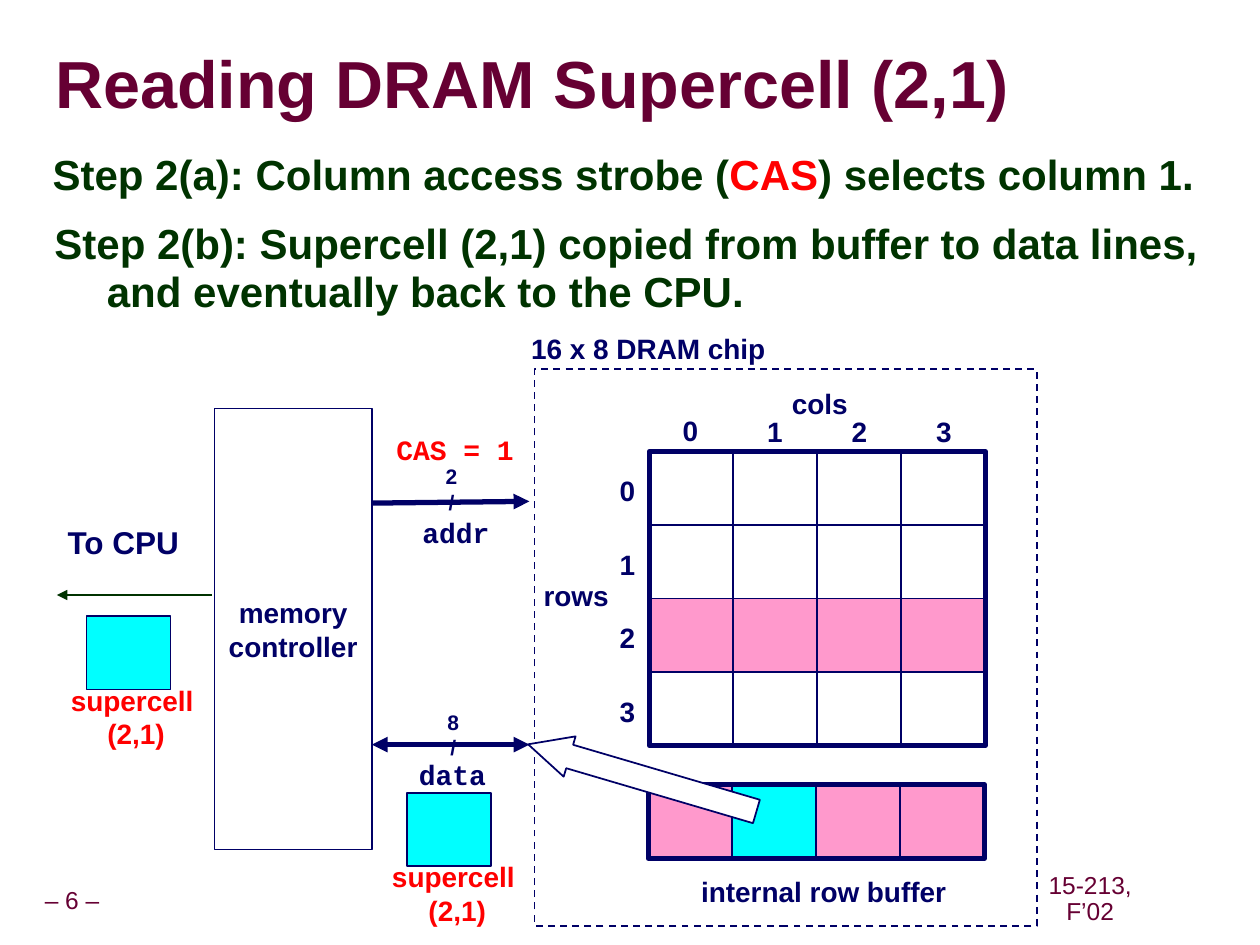
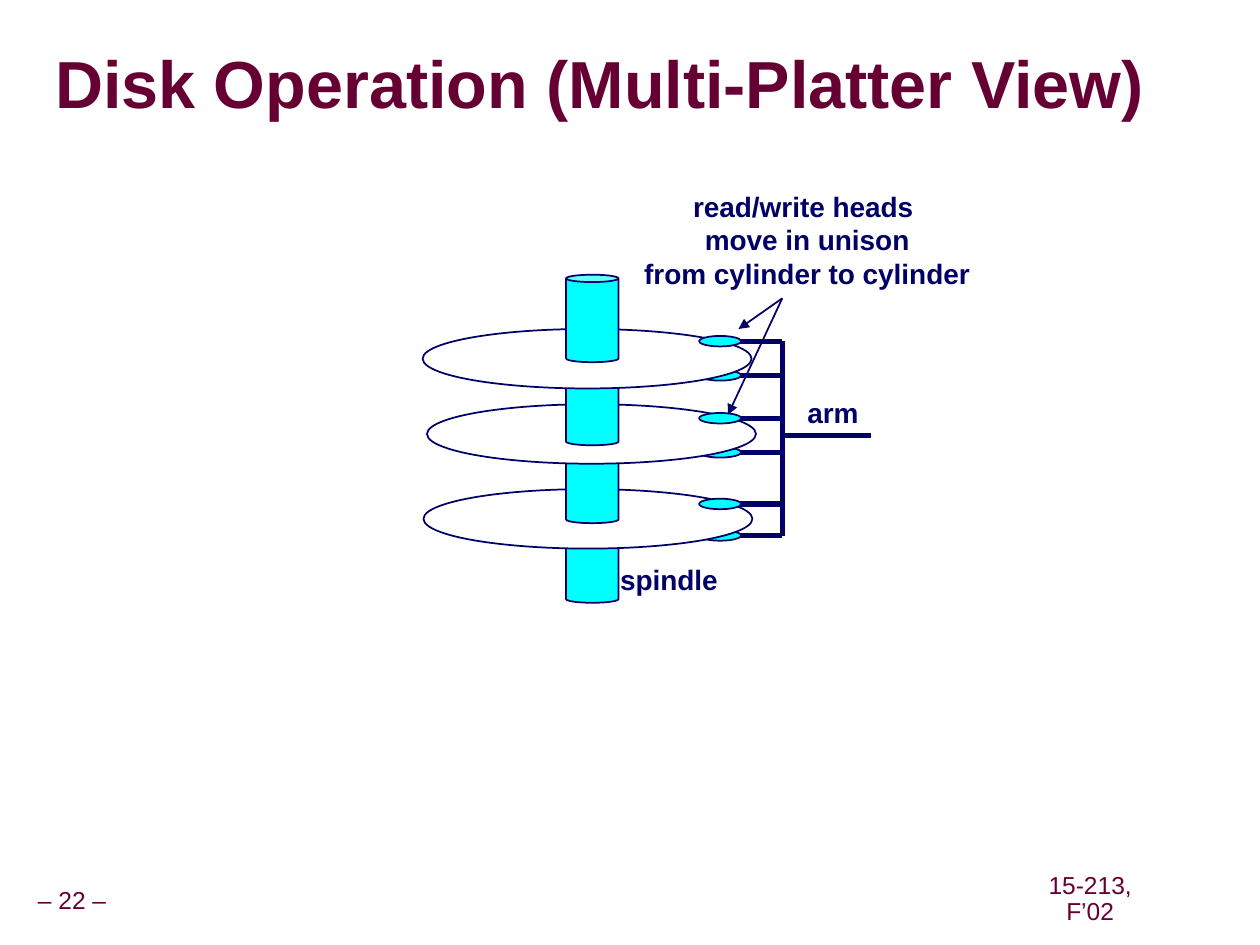
from lxml import etree
from pptx import Presentation
from pptx.dml.color import RGBColor
from pptx.enum.dml import MSO_LINE
from pptx.enum.shapes import MSO_CONNECTOR, MSO_SHAPE
from pptx.enum.text import MSO_ANCHOR, MSO_AUTO_SIZE, PP_ALIGN
from pptx.oxml import parse_xml
from pptx.oxml.ns import nsdecls, qn
from pptx.shapes.connector import Connector
from pptx.util import Pt

RECT, OVAL, CAN, ARROW = (MSO_SHAPE.RECTANGLE, MSO_SHAPE.OVAL, MSO_SHAPE.CAN,
                          MSO_SHAPE.DOWN_ARROW)
STRAIGHT = MSO_CONNECTOR.STRAIGHT
LEFT, CENTER = PP_ALIGN.LEFT, PP_ALIGN.CENTER
TOP, MIDDLE = MSO_ANCHOR.TOP, MSO_ANCHOR.MIDDLE
DASH = MSO_LINE.DASH


class Theme:
    ink = RGBColor(0x00, 0x00, 0x66)
    maroon = RGBColor(0x66, 0x00, 0x33)
    green = RGBColor(0x00, 0x33, 0x00)
    red = RGBColor(0xFF, 0x00, 0x00)
    pink = RGBColor(0xFF, 0x99, 0xCC)
    cyan = RGBColor(0x00, 0xFF, 0xFF)
    white = RGBColor(0xFF, 0xFF, 0xFF)
    sans, mono = "Arial", "Courier New"
    title, body, large, label, footer, small = (
        Pt(38), Pt(24), Pt(18), Pt(16), Pt(14), Pt(12))
    thin, medium, thick = Pt(1), Pt(1.5), Pt(3)


def style(sp, fill=None, color=Theme.ink, width=Theme.thin, dash=None, ends=()):
    """Format a shape or connector; ends names the arrowheads, head first."""
    sp.line.color.rgb, sp.line.width = color, width
    if dash:
        sp.line.dash_style = dash
    for end in ends:
        etree.SubElement(sp.line._get_or_add_ln(), qn(f"a:{end}"), type="triangle")
    if isinstance(sp, Connector):
        etree.SubElement(sp._element.spPr, qn("a:effectLst"))
        return
    sp.shadow.inherit = False
    if fill is None:
        sp.fill.background()
    else:
        sp.fill.solid()
        sp.fill.fore_color.rgb = fill


def write(sp, lines, color=Theme.ink, size=Theme.label, font=Theme.sans, bold=True,
          align=CENTER, spacing=None, insets=(7.2, 3.6), anchor=MIDDLE, wrap=False):
    """Fill a shape with paragraphs; a line is a string or (text, color) runs."""
    tf = sp.text_frame
    frame = {"word_wrap": wrap, "vertical_anchor": anchor,
             "auto_size": MSO_AUTO_SIZE.NONE,
             "margin_left": Pt(insets[0]), "margin_right": Pt(insets[0]),
             "margin_top": Pt(insets[1]), "margin_bottom": Pt(insets[1])}
    for name, value in frame.items():
        setattr(tf, name, value)
    for i, line in enumerate(lines):
        p = tf.add_paragraph() if i else tf.paragraphs[0]
        p.alignment, p.line_spacing = align, spacing
        for text, tint in ([(line, color)] if isinstance(line, str) else line):
            r = p.add_run()
            r.text = text
            r.font.color.rgb = tint
            for name, value in {"name": font, "size": size, "bold": bold}.items():
                setattr(r.font, name, value)


prs = Presentation()
prs.slide_width, prs.slide_height = Pt(720), Pt(540)

# Titles and footers
for title, number in [("Reading DRAM Supercell (2,1)", 6),
                      ("Disk Operation (Multi-Platter View)", 22)]:
    s = prs.slides.add_slide(prs.slide_layouts[5])
    sp = s.shapes.title
    sp.left, sp.top, sp.width, sp.height = Pt(31.5), Pt(19.5), Pt(686), Pt(61)
    write(sp, [title], Theme.maroon, Theme.title, align=LEFT, spacing=0.87,
          insets=(0, 0), wrap=True)
    rPr = sp.text_frame.paragraphs[0].runs[0]._r.get_or_add_rPr()
    rPr.insert(1, parse_xml(
        f'<a:effectLst {nsdecls("a")}><a:outerShdw dist="53882" dir="2700000">'
        '<a:srgbClr val="999999"/></a:outerShdw></a:effectLst>'))
    for x, y, w, h, text, wrap in [(17.5, 504, 47.5, 22.5, f"– {number} –", False),
                                   (591, 495, 64, 38, "15-213, F’02", True)]:
        sp = s.shapes.add_textbox(Pt(x), Pt(y), Pt(w), Pt(h))
        write(sp, [text], Theme.maroon, Theme.footer, bold=False, spacing=0.9,
              insets=(3.6, 3.6), wrap=wrap)

dram, disk = prs.slides

# DRAM: steps
s = dram
steps = [
    (23, 83.5, 42.5, [("Step 2(a): Column access strobe (", Theme.green),
                      ("CAS", Theme.red), (") selects column 1.", Theme.green)]),
    (24, 123, 65.5, "Step 2(b): Supercell (2,1) copied from buffer to data lines, "
                    "and eventually back to the CPU."),
]
for x, y, h, line in steps:
    sp = s.shapes.add_textbox(Pt(x), Pt(y), Pt(685.5), Pt(h))
    write(sp, [line], Theme.green, Theme.body, align=LEFT, spacing=0.95,
          anchor=TOP, wrap=True)
    pPr = sp.text_frame.paragraphs[0]._p.get_or_add_pPr()
    pPr.set("marL", str(Pt(30)))
    pPr.set("indent", str(Pt(-30)))

# DRAM: cell grid, row buffer and the loose supercells
cell_w, cell_h = 48, 42
grid_x, grid_y, buffer_x, buffer_y = 371, 258, 370.5, 448.5
cells = [(grid_x + col * cell_w, grid_y + row * cell_h,
          Theme.pink if row == 2 else Theme.white)
         for row in range(4) for col in range(4)]
cells += [(buffer_x + col * cell_w, buffer_y,
           Theme.cyan if col == 1 else Theme.pink) for col in (0, 2, 3, 1)]
cells += [(232.5, 453, Theme.cyan), (49.5, 352, Theme.cyan)]
for x, y, fill in cells:
    style(s.shapes.add_shape(RECT, Pt(x), Pt(y), Pt(cell_w), Pt(cell_h)), fill)
for x, y, rows in [(grid_x, grid_y, 4), (buffer_x, buffer_y, 1)]:
    sp = s.shapes.add_shape(RECT, Pt(x), Pt(y), Pt(4 * cell_w), Pt(rows * cell_h))
    style(sp, width=Theme.thick)

# DRAM: chip outline, controller and the copy arrow
style(s.shapes.add_shape(RECT, Pt(305.5), Pt(211), Pt(287), Pt(318)), dash=DASH)
sp = s.shapes.add_shape(RECT, Pt(122.5), Pt(233.5), Pt(90), Pt(252))
style(sp, Theme.white)
write(sp, ["memory", "controller"])
sp = s.shapes.add_shape(ARROW, Pt(355), Pt(376.5), Pt(24), Pt(136))
style(sp, Theme.white)
sp.rotation = 106.4
sp.adjustments[0], sp.adjustments[1] = 0.58, 1.03

# DRAM: address, data and CPU lines
for x1, y1, x2, y2, color, width, ends in [
        (212.5, 287.5, 302.5, 286.5, Theme.ink, Theme.thick, ["tailEnd"]),
        (212.5, 425.5, 302.5, 425.5, Theme.ink, Theme.thick, ["headEnd", "tailEnd"]),
        (121, 340, 32.5, 340, Theme.green, Theme.medium, ["tailEnd"])]:
    sp = s.shapes.add_connector(STRAIGHT, Pt(x1), Pt(y1), Pt(x2), Pt(y2))
    style(sp, color=color, width=width, ends=ends)

# DRAM: labels
mono = {"font": Theme.mono}
labels = [
    (445, 217, 47, 26.5, ["cols"], {}),
    (303, 327, 52.5, 26.5, ["rows"], {}),
    (393, 496, 155.5, 26.5, ["internal row buffer"], {}),
    (296, 186, 149, 26.5, ["16 x 8 DRAM chip"], {}),
    (219, 243.5, 82, 26.5, ["CAS = 1"], {"color": Theme.red, **mono}),
    (234, 291, 53, 26.5, ["addr"], mono),
    (232, 429, 53, 26.5, ["data"], mono),
    (247.5, 261.5, 21, 36, ["2", "/"], {"size": Theme.small}),
    (248.5, 402, 21, 36, ["8", "/"], {"size": Theme.small}),
    (216.5, 487.5, 89.5, 46, ["supercell ", "(2,1)"], {"color": Theme.red}),
    (33, 386.5, 89.5, 46, ["supercell ", "(2,1)"], {"color": Theme.red}),
    (34.5, 298, 72, 26.5, ["To CPU"],
     {"size": Theme.large, "spacing": 0.9, "insets": (3.6, 3.6), "anchor": TOP}),
]
for i in range(4):
    labels.append((383 + i * 48.3, 233 if i else 232.5, 23, 26.5, [str(i)], {}))
    labels.append((347, 267 + i * cell_h, 23, 26.5, [str(i)], {}))
for x, y, w, h, lines, fmt in labels:
    write(s.shapes.add_textbox(Pt(x), Pt(y), Pt(w), Pt(h)), lines, **fmt)

# Disk: lower heads, then spindle and platters from the bottom up, then upper heads
s = disk
parts = [("head", 399.5, y) for y in (214.5, 258.5, 306)]
parts += [("spindle", 323.5, 294.5), ("platter", 242, 279.5),
          ("spindle", 323.5, 249), ("platter", 244, 231),
          ("spindle", 323.5, 204.5), ("platter", 241.5, 188),
          ("spindle", 323.5, 157)]
parts += [("head", 399.5, y) for y in (195, 239, 288)]
forms = {"head": (OVAL, 24, 6, Theme.cyan), "spindle": (CAN, 30, 50, Theme.cyan),
         "platter": (OVAL, 188, 34, Theme.white)}
for name, x, y in parts:
    kind, w, h, fill = forms[name]
    if name == "head":
        sp = s.shapes.add_connector(STRAIGHT, Pt(447), Pt(y), Pt(411), Pt(y))
        style(sp, width=Theme.thick)
        y -= h / 2
    sp = s.shapes.add_shape(kind, Pt(x), Pt(y), Pt(w), Pt(h))
    style(sp, fill)
    if name == "spindle":
        sp.adjustments[0] = 0.14

# Disk: arm and pointers to the heads
for x1, y1, x2, y2, width, ends in [
        (447, 195, 447, 306, Theme.thick, []),
        (447, 249, 497.5, 249, Theme.thick, []),
        (447, 170.5, 422, 188, Theme.thin, ["tailEnd"]),
        (447, 170.5, 416, 237, Theme.thin, ["tailEnd"])]:
    sp = s.shapes.add_connector(STRAIGHT, Pt(x1), Pt(y1), Pt(x2), Pt(y2))
    style(sp, width=width, ends=ends)

# Disk: labels
for x, y, w, h, lines in [
        (454, 222.5, 44, 26.5, ["arm"]),
        (347, 317.5, 70.5, 26.5, ["spindle"]),
        (360.5, 104.5, 201.5, 65,
         ["read/write heads ", "move in unison", "from cylinder to cylinder"])]:
    write(s.shapes.add_textbox(Pt(x), Pt(y), Pt(w), Pt(h)), lines)

prs.save("out.pptx")
